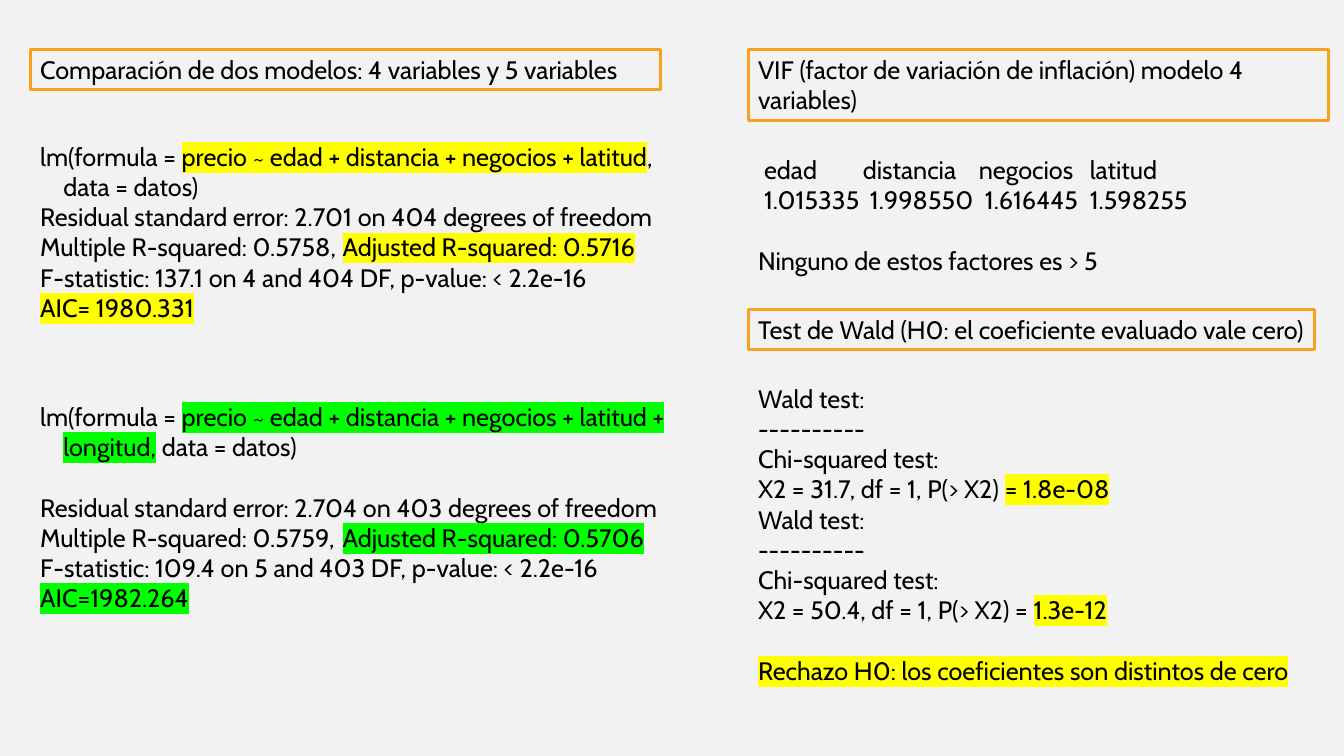
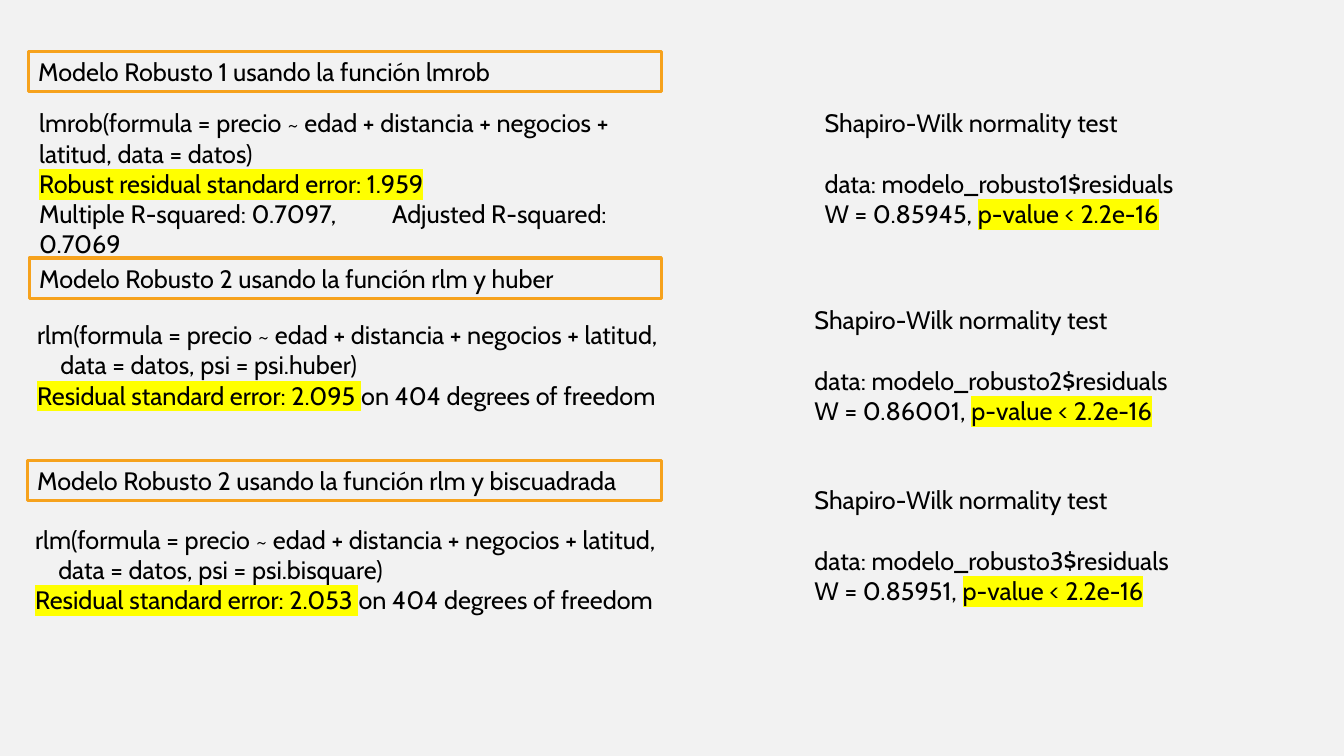
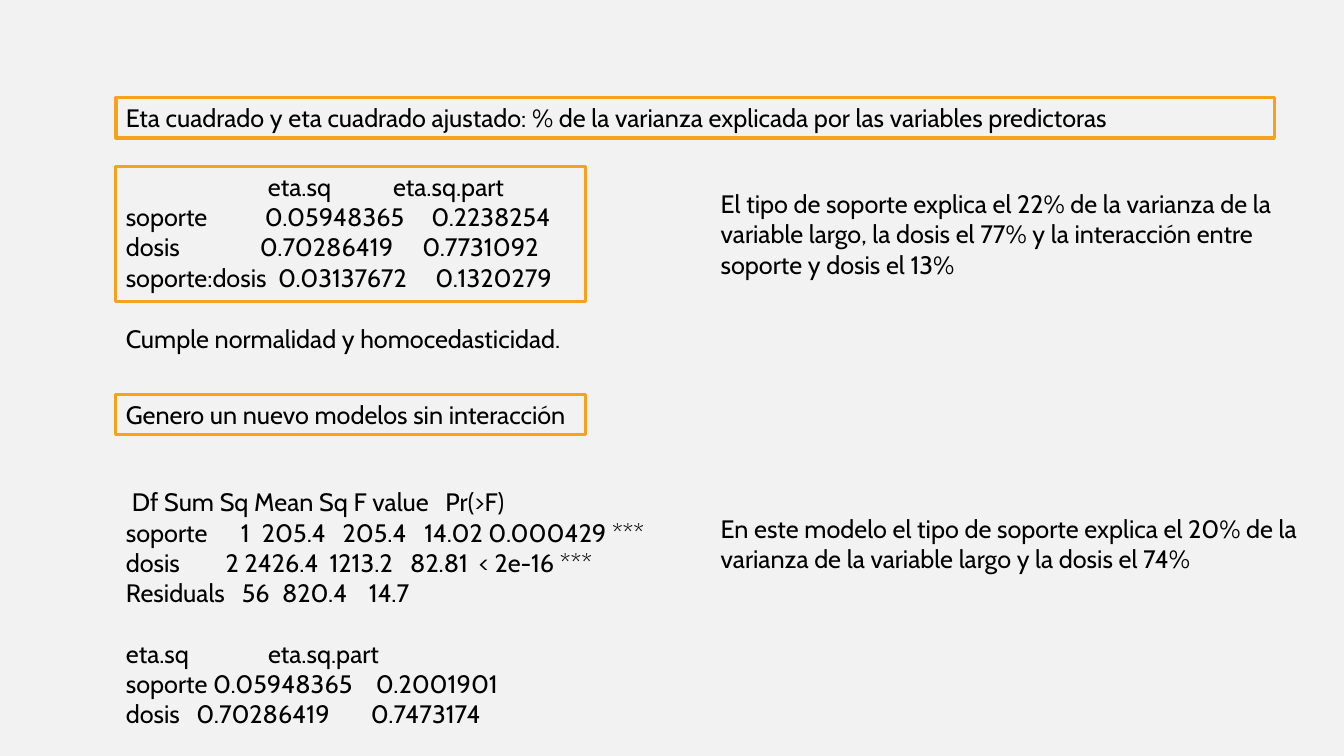
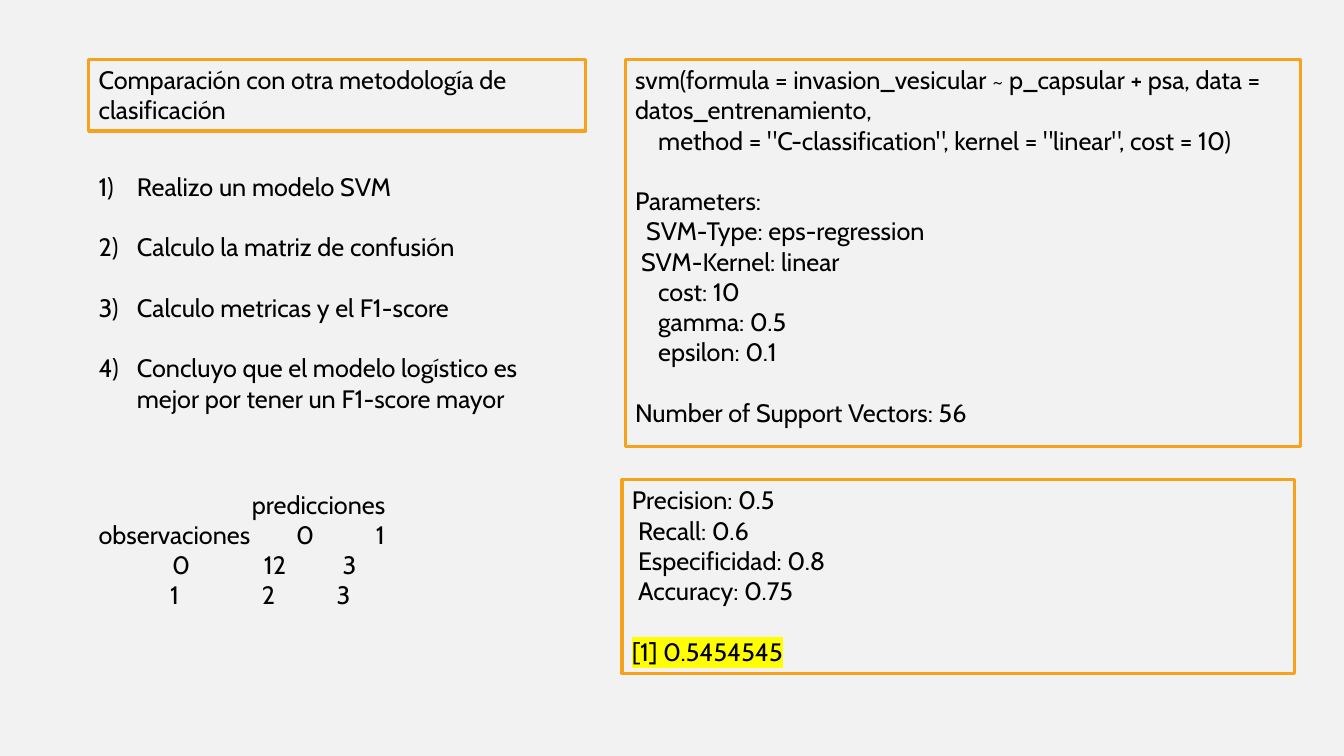
"""Four slides of regression, variance and classification results."""
from dataclasses import dataclass

from lxml.etree import SubElement
from pptx import Presentation
from pptx.dml.color import RGBColor
from pptx.enum.shapes import MSO_SHAPE
from pptx.enum.text import MSO_ANCHOR, MSO_AUTO_SIZE, PP_ALIGN
from pptx.oxml.ns import qn
from pptx.util import Inches, Pt

COLORS = {"background": "F2F2F2", "frame": "F6A21D", "text": "000000",
          "yellow": "FFFF00", "green": "00FF00"}
FONT, SIZE, LINE_HEIGHT = "Cabin", Pt(18), Pt(21.6)
CODE_INDENT, NUMBER_INDENT = 0.23, 0.38


@dataclass
class Line:
    """One paragraph: runs are strings or (text, highlight) pairs."""
    runs: tuple
    gap: bool = False
    indent: float = 0
    stops: tuple = ()
    numbered: bool = False


def line(*runs, **options):
    """Make a Line from its runs."""
    return Line(runs, **options)


def yellow(text):
    """Mark text in yellow."""
    return text, "yellow"


def green(text):
    """Mark text in green."""
    return text, "green"


def wald(statistic, *p_value):
    """Lines of one Wald test."""
    return ["Wald test:", "----------", "Chi-squared test:",
            line(f"X2 = {statistic}, df = 1, P(> X2) ", *p_value)]


def shapiro(number, statistic):
    """Lines of one normality test."""
    return ["Shapiro-Wilk normality test",
            line(f"data: modelo_robusto{number}$residuals", gap=True),
            line(f"W = {statistic}, ", yellow("p-value < 2.2e-16"))]


def rlm(psi, error):
    """Lines of one robust model."""
    return ["rlm(formula = precio ~ edad + distancia + negocios + latitud,",
            line(f"data = datos, psi = psi.{psi})", indent=CODE_INDENT),
            line(yellow(f"Residual standard error: {error} "), "on 404 degrees of freedom")]


STEPS = ["Realizo un modelo SVM", "Calculo la matriz de confusión",
         "Calculo metricas y el F1-score",
         "Concluyo que el modelo logístico es mejor por tener un F1-score mayor"]

FRAMED, PLAIN = True, False

SLIDES = [
    [
        (FRAMED, (0.3, 0.49, 6.25, 0.4), ["Comparación de dos modelos: 4 variables y 5 variables"]),
        (PLAIN, (0.3, 1.35, 6.67, 1.92), [
            line("lm(formula = ", yellow("precio ~ edad + distancia + negocios + latitud"), ","),
            line("data = datos)", indent=CODE_INDENT),
            "Residual standard error: 2.701 on 404 degrees of freedom",
            line("Multiple R-squared: 0.5758,\t", yellow("Adjusted R-squared: 0.5716"), stops=(3,)),
            "F-statistic: 137.1 on 4 and 404 DF, p-value: < 2.2e-16",
            line(yellow("AIC= 1980.331"))]),
        (PLAIN, (0.3, 3.93, 6.67, 2.22), [
            line("lm(formula = ", green("precio ~ edad + distancia + negocios + latitud +")),
            line(green("longitud,"), " data = datos)", indent=CODE_INDENT),
            line("Residual standard error: 2.704 on 403 degrees of freedom", gap=True),
            line("Multiple R-squared: 0.5759,\t", green("Adjusted R-squared: 0.5706"), stops=(3,)),
            "F-statistic: 109.4 on 5 and 403 DF, p-value: < 2.2e-16",
            line(green("AIC=1982.264"))]),
        (FRAMED, (7.42, 0.49, 5.76, 0.71),
         ["VIF (factor de variación de inflación) modelo 4 variables)"]),
        (PLAIN, (7.42, 1.48, 5.04, 1.31), [
            line("\tedad\tdistancia\tnegocios\tlatitud", stops=(0.06, 1.04, 2.19, 3.29)),
            line("\t1.015335\t1.998550\t1.616445\t1.598255", stops=(0.06, 1.11, 2.25, 3.29)),
            line("Ninguno de estos factores es > 5", gap=True)]),
        (FRAMED, (7.42, 3.07, 5.62, 0.4), ["Test de Wald (H0: el coeficiente evaluado vale cero)"]),
        (PLAIN, (7.42, 3.75, 5.62, 3.13), [
            *wald("31.7", yellow("= 1.8e-08")),
            *wald("50.4", "= ", yellow("1.3e-12")),
            line(yellow("Rechazo H0: los coeficientes son distintos de cero"), gap=True)]),
    ],
    [
        (FRAMED, (0.28, 0.51, 6.28, 0.4), ["Modelo Robusto 1 usando la función lmrob"]),
        (FRAMED, (0.29, 2.56, 6.27, 0.4), ["Modelo Robusto 2 usando la función rlm y huber"]),
        (FRAMED, (0.27, 4.57, 6.29, 0.4), ["Modelo Robusto 2 usando la función rlm y biscuadrada"]),
        (PLAIN, (0.29, 1.02, 6.6, 1.31), [
            "lmrob(formula = precio ~ edad + distancia + negocios + latitud, data = datos)",
            line(yellow("Robust residual standard error: 1.959")),
            line("Multiple R-squared: 0.7097,\tAdjusted R-squared: 0.7069", stops=(3.5,))]),
        (PLAIN, (0.27, 3.12, 6.38, 1.01), rlm("huber", "2.095")),
        (PLAIN, (0.25, 5.15, 6.67, 1.01), rlm("bisquare", "2.053")),
        (PLAIN, (8.08, 1.02, 4.46, 1.31), shapiro(1, "0.85945")),
        (PLAIN, (7.98, 2.97, 4.64, 1.31), shapiro(2, "0.86001")),
        (PLAIN, (7.98, 4.76, 4.43, 1.31), shapiro(3, "0.85951")),
    ],
    [
        (FRAMED, (1.15, 0.97, 11.49, 0.4),
         ["Eta cuadrado y eta cuadrado ajustado: % de la varianza explicada por las variables "
          "predictoras"]),
        (FRAMED, (1.15, 1.65, 4.66, 1.34), [
            line("\teta.sq\teta.sq.part", stops=(1.41, 2.65)),
            line("soporte\t0.05948365\t0.2238254", stops=(1.38, 3.03)),
            line("dosis\t0.70286419\t0.7731092", stops=(1.33, 2.94)),
            line("soporte:dosis\t0.03137672\t0.1320279", stops=(1.51, 3.07))]),
        (PLAIN, (7.05, 1.82, 5.77, 1.01),
         ["El tipo de soporte explica el 22% de la varianza de la variable largo, la dosis el 77% "
          "y la interacción entre soporte y dosis el 13%"]),
        (PLAIN, (1.15, 3.16, 4.66, 0.4), ["Cumple normalidad y homocedasticidad."]),
        (FRAMED, (1.15, 3.91, 4.66, 0.4), ["Genero un nuevo modelos sin interacción"]),
        (PLAIN, (1.15, 4.78, 6.51, 2.52), [
            line("\tDf Sum Sq Mean Sq F value\tPr(>F)", stops=(0.06, 3.17)),
            line("soporte\t1\t205.4\t205.4\t14.02 0.000429 ***", stops=(1.14, 1.35, 2.15, 2.96)),
            line("dosis\t2 2426.4\t1213.2\t82.81\t< 2e-16 ***", stops=(0.99, 2.02, 2.82, 3.5)),
            line("Residuals\t56\t820.4\t14.7", stops=(1.15, 1.55, 2.41)),
            line("eta.sq\teta.sq.part", gap=True, stops=(1.41,)),
            line("soporte 0.05948365\t0.2001901", stops=(2.48,)),
            line("dosis\t0.70286419\t0.7473174", stops=(0.7, 2.43))]),
        (PLAIN, (7.05, 5.04, 5.93, 0.71),
         ["En este modelo el tipo de soporte explica el 20% de la varianza de la variable largo "
          "y la dosis el 74%"]),
    ],
    [
        (FRAMED, (0.88, 0.59, 4.93, 0.71), ["Comparación con otra metodología de clasificación"]),
        (PLAIN, (0.88, 1.65, 4.93, 2.52),
         [line(step, gap=step != STEPS[0], numbered=True) for step in STEPS]),
        (PLAIN, (0.88, 4.8, 4.76, 1.31), [
            line("\tpredicciones", stops=(1.52,)),
            line("observaciones\t0\t1", stops=(1.96, 2.75)),
            line("\t0\t12\t3", stops=(0.73, 1.64, 2.42)),
            line("\t1\t2\t3", stops=(0.71, 1.62, 2.36))]),
        (FRAMED, (6.2, 0.59, 6.7, 3.84), [
            "svm(formula = invasion_vesicular ~ p_capsular + psa, data = datos_entrenamiento,",
            line('method = "C-classification", kernel = "linear", cost = 10)', indent=CODE_INDENT),
            line("Parameters:", gap=True),
            line("SVM-Type: eps-regression", indent=0.11),
            line("SVM-Kernel: linear", indent=0.06),
            *[line(setting, indent=CODE_INDENT)
              for setting in ("cost: 10", "gamma: 0.5", "epsilon: 0.1")],
            line("Number of Support Vectors: 56", gap=True)]),
        (FRAMED, (6.17, 4.76, 6.67, 1.92), [
            "Precision: 0.5",
            *[line(metric, indent=0.06)
              for metric in ("Recall: 0.6", "Especificidad: 0.8", "Accuracy: 0.75")],
            line(yellow("[1] 0.5454545"), gap=True)]),
    ],
]


def color(name):
    """Look up a colour."""
    return RGBColor.from_string(COLORS[name])


def set_layout(paragraph, content):
    """Set indents, numbering and tab stops; tabbed lines carry no indent."""
    properties = paragraph._p.get_or_add_pPr()
    font_defaults = properties.find(qn("a:defRPr"))
    if content.stops:
        tabs = SubElement(properties, qn("a:tabLst"))
        for stop in content.stops:
            SubElement(tabs, qn("a:tab"), pos=str(Inches(stop)), algn="l")
        font_defaults.addprevious(tabs)
    elif content.numbered:
        properties.set("marL", str(Inches(NUMBER_INDENT)))
        properties.set("indent", str(Inches(-NUMBER_INDENT)))
        font_defaults.addprevious(
            SubElement(properties, qn("a:buAutoNum"), type="arabicParenR"))
    elif content.indent:
        properties.set("marL", str(Inches(content.indent)))
        properties.set("indent", "0")


def write_line(paragraph, content):
    """Write one paragraph with its highlights."""
    paragraph.alignment = PP_ALIGN.LEFT
    if content.gap:
        paragraph.space_before = LINE_HEIGHT
    font = paragraph.font
    font.name, font.size = FONT, SIZE
    font.color.rgb = color("text")
    set_layout(paragraph, content)
    for piece in content.runs:
        text, highlight = (piece, None) if isinstance(piece, str) else piece
        run = paragraph.add_run()
        run.text = text
        if highlight:
            mark = SubElement(run._r.get_or_add_rPr(), qn("a:highlight"))
            SubElement(mark, qn("a:srgbClr"), val=COLORS[highlight])


def add_block(slide, framed, place, lines):
    """Add a block of text, with or without a frame."""
    place = [Inches(length) for length in place]
    if framed:
        block = slide.shapes.add_shape(MSO_SHAPE.RECTANGLE, *place)
        block.shadow.inherit = False
        block.fill.background()
        block.line.color.rgb = color("frame")
        block.line.width = Pt(2.25)
    else:
        block = slide.shapes.add_textbox(*place)
    frame = block.text_frame
    frame.word_wrap = True
    frame.auto_size = MSO_AUTO_SIZE.SHAPE_TO_FIT_TEXT
    frame.vertical_anchor = MSO_ANCHOR.TOP
    for index, content in enumerate(lines):
        paragraph = frame.add_paragraph() if index else frame.paragraphs[0]
        write_line(paragraph, line(content) if isinstance(content, str) else content)


def main():
    """Build and save the presentation."""
    deck = Presentation()
    deck.slide_width, deck.slide_height = Inches(13.33), Inches(7.5)
    backdrop = deck.slide_master.background.fill
    backdrop.solid()
    backdrop.fore_color.rgb = color("background")
    for blocks in SLIDES:
        slide = deck.slides.add_slide(deck.slide_layouts[6])
        for block in blocks:
            add_block(slide, *block)
    deck.save("out.pptx")


if __name__ == "__main__":
    main()
